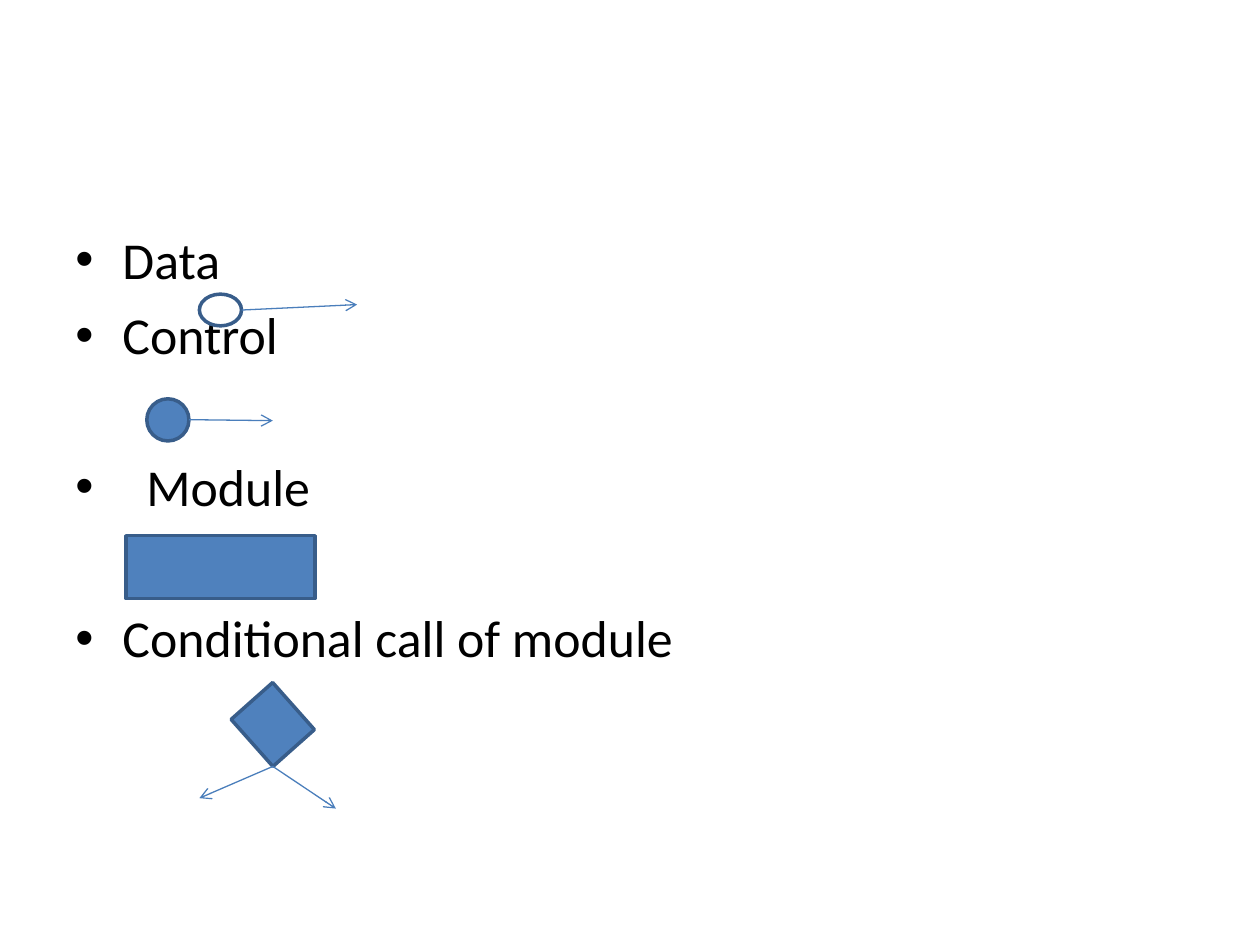
from dataclasses import dataclass

from lxml.etree import SubElement
from pptx import Presentation
from pptx.dml.color import RGBColor
from pptx.enum.shapes import MSO_CONNECTOR, MSO_SHAPE
from pptx.oxml.ns import qn
from pptx.util import Cm, Pt


@dataclass(frozen=True)
class Theme:
    font: str = "Calibri"
    text_size: float = 29.6
    text: RGBColor = RGBColor(0x00, 0x00, 0x00)
    hollow: RGBColor = RGBColor(0xFF, 0xFF, 0xFF)
    solid: RGBColor = RGBColor(0x4F, 0x81, 0xBD)
    outline: RGBColor = RGBColor(0x38, 0x5D, 0x8A)
    arrow: RGBColor = RGBColor(0x4A, 0x7E, 0xBB)
    outline_width: float = 2
    arrow_width: float = 0.75


@dataclass(frozen=True)
class Term:
    """A bullet; space_before is in points, indent in centimetres."""
    label: str
    space_before: float = 7.5
    indent: float = 0.95


@dataclass(frozen=True)
class Symbol:
    """A notation symbol; lengths in centimetres."""
    preset: MSO_SHAPE
    left: float
    top: float
    width: float
    height: float
    fill: RGBColor
    rotation: float = 0


@dataclass(frozen=True)
class Arrow:
    """An arrow with its head at the end; lengths in centimetres."""
    start: tuple[float, float]
    end: tuple[float, float]


THEME = Theme()
SYMBOL_GAP = 51  # leaves one line free for the symbol above

TERMS = [
    Term("Data", space_before=0),
    Term("Control"),
    Term("Module", SYMBOL_GAP, indent=1.43),
    Term("Conditional call of module", SYMBOL_GAP),
]

SYMBOLS = [
    Symbol(MSO_SHAPE.OVAL, 4.02, 5.93, 0.85, 0.64, THEME.hollow),
    Symbol(MSO_SHAPE.OVAL, 2.96, 8.04, 0.85, 0.85, THEME.solid),
    Symbol(MSO_SHAPE.RECTANGLE, 2.54, 10.8, 3.81, 1.27, THEME.solid),
    Symbol(MSO_SHAPE.RECTANGLE, 4.94, 13.97, 1.12, 1.27, THEME.solid, 318.4),
]

DECISION_TIP = (5.5, 15.45)
ARROWS = [
    Arrow((4.87, 6.25), (7.2, 6.14)),
    Arrow((3.81, 8.46), (5.5, 8.48)),
    Arrow(DECISION_TIP, (4.02, 16.09)),
    Arrow(DECISION_TIP, (6.77, 16.3)),
]


def add_terms(slide, terms: list[Term]) -> None:
    frame = slide.shapes.add_textbox(Cm(1.27), Cm(4.47), Cm(22.86), Cm(12.57)).text_frame
    frame.word_wrap = True
    for index, term in enumerate(terms):
        paragraph = frame.add_paragraph() if index else frame.paragraphs[0]
        paragraph.text = term.label
        paragraph.space_before = Pt(term.space_before)
        properties = paragraph._p.get_or_add_pPr()
        properties.set("marL", str(Cm(term.indent)))
        properties.set("indent", str(-Cm(term.indent)))
        SubElement(properties, qn("a:buFont"), typeface="Arial")
        SubElement(properties, qn("a:buChar"), char="•")
        paragraph.font.name = THEME.font
        paragraph.font.size = Pt(THEME.text_size)
        paragraph.font.color.rgb = THEME.text


def add_symbol(slide, symbol: Symbol) -> None:
    shape = slide.shapes.add_shape(
        symbol.preset, Cm(symbol.left), Cm(symbol.top), Cm(symbol.width), Cm(symbol.height))
    shape.rotation = symbol.rotation
    shape.shadow.inherit = False
    shape.fill.solid()
    shape.fill.fore_color.rgb = symbol.fill
    shape.line.color.rgb = THEME.outline
    shape.line.width = Pt(THEME.outline_width)


def add_arrow(slide, arrow: Arrow) -> None:
    connector = slide.shapes.add_connector(
        MSO_CONNECTOR.STRAIGHT, *map(Cm, arrow.start), *map(Cm, arrow.end))
    connector.line.color.rgb = THEME.arrow
    connector.line.width = Pt(THEME.arrow_width)
    SubElement(connector.line._get_or_add_ln(), qn("a:tailEnd"), type="arrow")
    SubElement(connector._element.spPr, qn("a:effectLst"))


def main() -> None:
    deck = Presentation()
    deck.slide_width, deck.slide_height = Cm(25.4), Cm(19.05)
    slide = deck.slides.add_slide(deck.slide_layouts[6])
    add_terms(slide, TERMS)
    for symbol in SYMBOLS:
        add_symbol(slide, symbol)
    for arrow in ARROWS:
        add_arrow(slide, arrow)
    deck.save("out.pptx")


if __name__ == "__main__":
    main()
